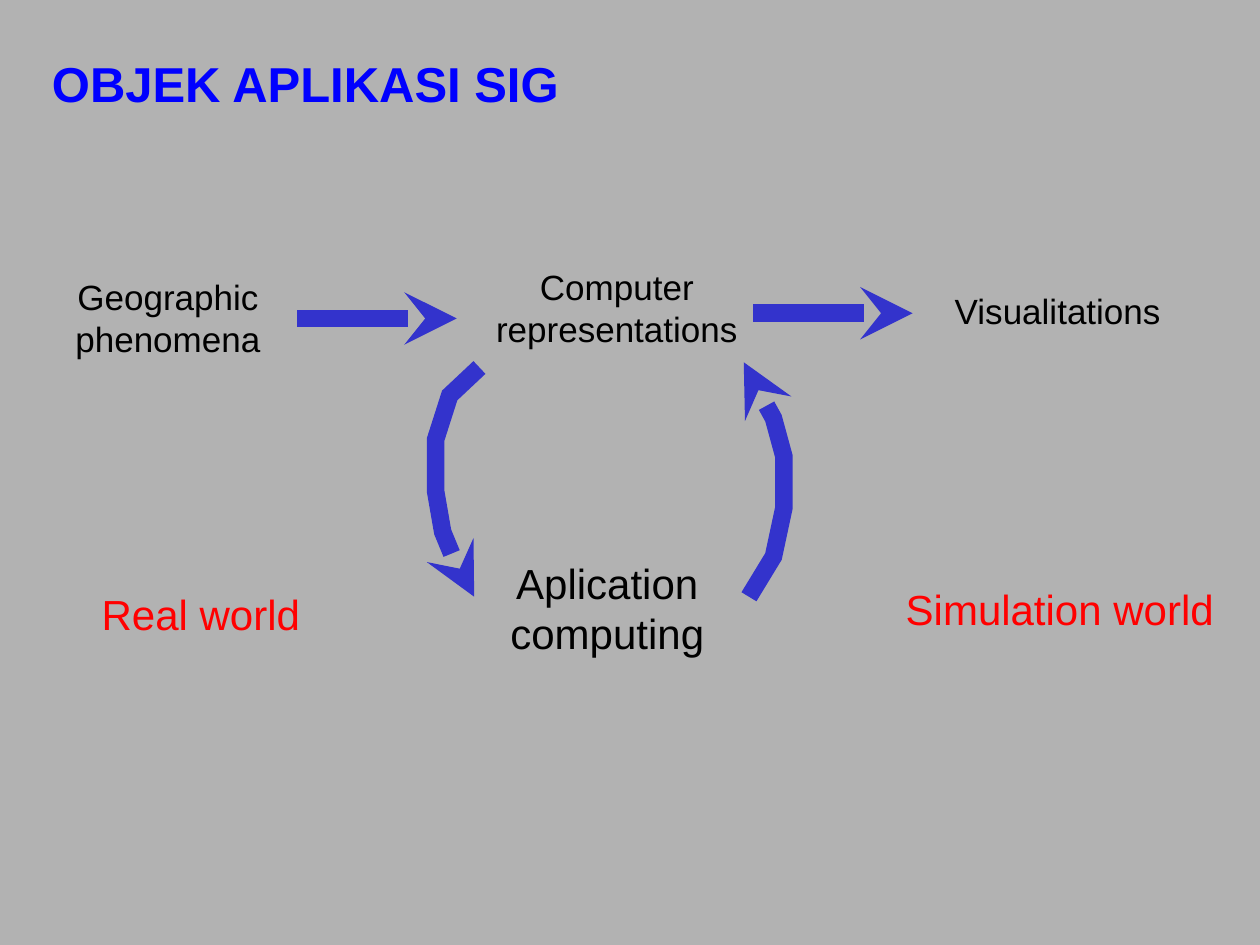
from lxml import etree
from pptx import Presentation
from pptx.dml.color import RGBColor
from pptx.enum import shapes, text
from pptx.oxml import ns
from pptx.util import Pt

FONT = "Arial"
COLORS = {
    "background": "B2B2B2",
    "title": "0000FF",
    "label": "000000",
    "world": "FF0000",
    "arrow": "3333CC",
}
LEFT, CENTER = text.PP_ALIGN.LEFT, text.PP_ALIGN.CENTER


def rgb(name):
    return RGBColor.from_string(COLORS[name])


def write(frame, words, size, color, align, bold=False):
    frame.text = words
    for paragraph in frame.paragraphs:
        paragraph.alignment = align
        for run in paragraph.runs:
            run.font.name = FONT
            run.font.size = Pt(size)
            run.font.bold = bold
            run.font.color.rgb = rgb(color)


def add_label(slide, box, words, size, color="label", align=CENTER):
    label = slide.shapes.add_textbox(*(Pt(v) for v in box))
    label.text_frame.word_wrap = True
    write(label.text_frame, words, size, color, align)


def style_arrow(arrow):
    """Give a line or open outline its thick stroke and stealth head."""
    arrow.line.color.rgb = rgb("arrow")
    arrow.line.width = Pt(10)
    stroke = arrow.line._get_or_add_ln()
    etree.SubElement(stroke, ns.qn("a:miter"), lim="800000")
    etree.SubElement(stroke, ns.qn("a:tailEnd"), type="stealth")


def add_straight_arrow(slide, left, y, length):
    arrow = slide.shapes.add_connector(
        shapes.MSO_CONNECTOR.STRAIGHT, Pt(left), Pt(y), Pt(left + length), Pt(y))
    style_arrow(arrow)
    etree.SubElement(arrow._element.spPr, ns.qn("a:effectLst"))


def add_bent_arrow(slide, left, top, points):
    start, *rest = [(left + x, top + y) for x, y in points]
    builder = slide.shapes.build_freeform(*start, scale=Pt(1))
    builder.add_line_segments(rest, close=False)
    arrow = builder.convert_to_shape()
    arrow.fill.background()
    style_arrow(arrow)
    arrow.shadow.inherit = False


def place_title(slide, box):
    title = slide.shapes.title
    title.left, title.top, title.width, title.height = (Pt(v) for v in box)
    frame = title.text_frame
    frame.auto_size = text.MSO_AUTO_SIZE.NONE
    frame.vertical_anchor = text.MSO_ANCHOR.MIDDLE
    write(frame, "OBJEK APLIKASI SIG", 28, "title", LEFT, bold=True)


def draw_process(slide, left, top):
    """Phenomena to representations to visualitations, left to right."""
    add_straight_arrow(slide, left + 142, top + 34, 91)
    add_straight_arrow(slide, left + 402.5, top + 31, 91)
    add_label(slide, (left, top + 6, 136, 55), "Geographic\nphenomena", 20)
    add_label(slide, (left + 224, top, 201, 55), "Computer\nrepresentations", 20)
    add_label(slide, (left + 510.5, top + 14, 150, 32), "Visualitations", 20,
              align=LEFT)


def draw_loop(slide, left, top):
    """Bent arrows between the representations and the computing below."""
    add_bent_arrow(slide, left, top, [
        (179, 134), (193, 111), (199, 83), (199, 54), (193, 32), (182, 12),
        (176, 0)])
    add_bent_arrow(slide, left, top, [
        (25, 3), (8, 19), (0, 44), (0, 74), (4, 97), (16, 126), (22, 134)])
    add_label(slide, (left + 23, top + 108, 150, 65), "Aplication\ncomputing", 24)


def draw_worlds(slide, left, top):
    add_label(slide, (left, top + 3, 202, 36), "Real world", 24, "world", LEFT)
    add_label(slide, (left + 459.5, top, 258, 36), "Simulation world", 24,
              "world", LEFT)


def main():
    deck = Presentation()
    deck.slide_width, deck.slide_height = Pt(720), Pt(540)
    slide = deck.slides.add_slide(deck.slide_layouts[5])
    slide.background.fill.solid()
    slide.background.fill.fore_color.rgb = rgb("background")

    place_title(slide, (22.5, 12, 326, 71))
    draw_process(slide, 28, 148)
    draw_loop(slide, 249, 207)
    draw_worlds(slide, 51, 330)
    deck.save("out.pptx")


if __name__ == "__main__":
    main()
